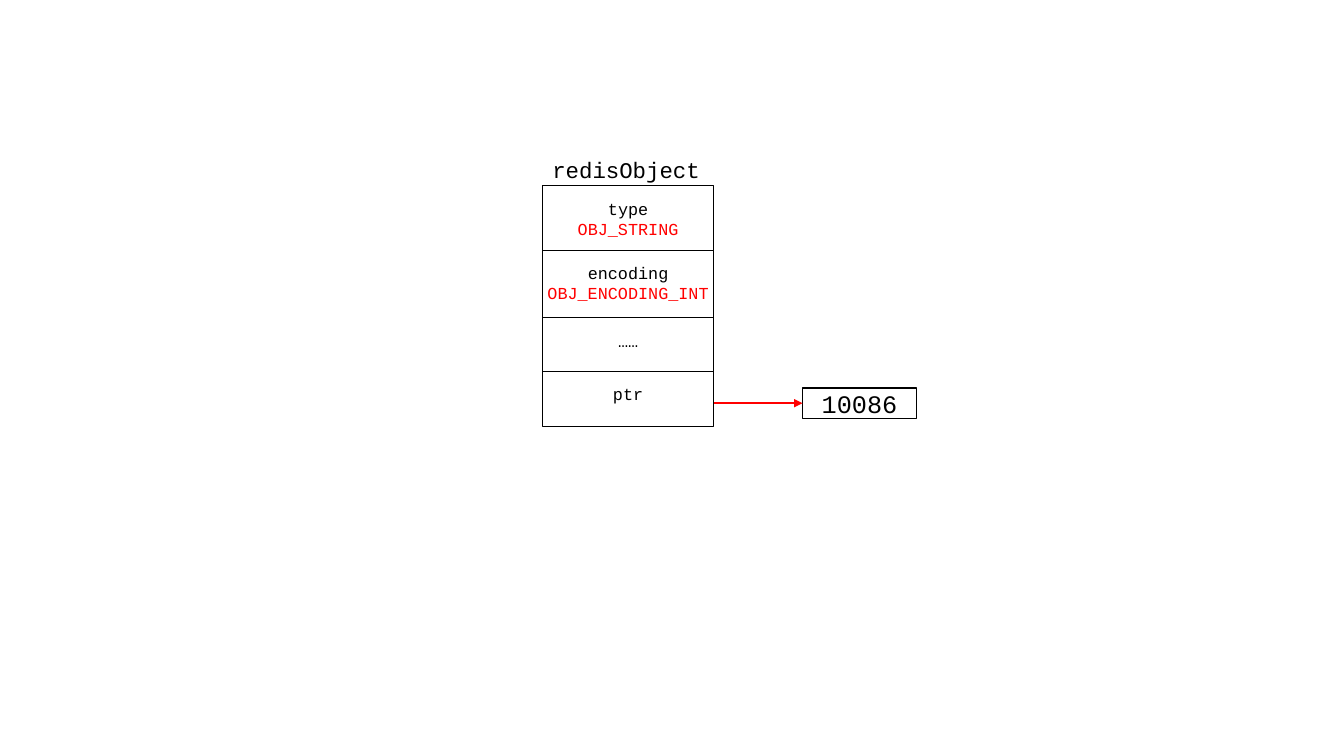
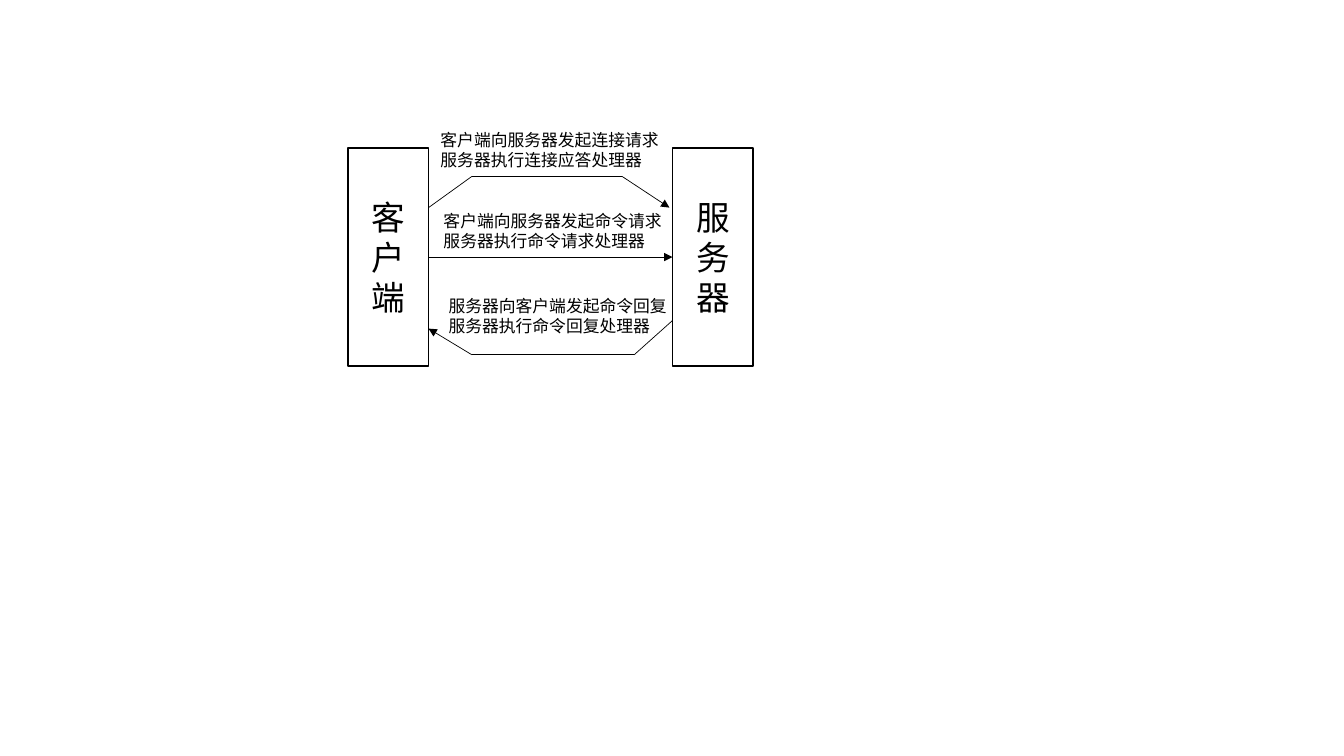
import pptx
import pptx.util
import pptx.dml.color
import pptx.enum.shapes
import pptx.enum.text
import pptx.oxml
import pptx.oxml.ns

COLORS = {"ink": "000000", "accent": "FF0000", "paper": "FFFFFF"}
CODE_FONT = "Courier New"
CHINESE_FONT = "Noto Sans CJK SC"

presentation = pptx.Presentation()
presentation.slide_width = pptx.util.Inches(13.33)
presentation.slide_height = pptx.util.Inches(7.5)

# Every length counts square grid units: the slide is 75 rows high
UNIT = presentation.slide_height / 75


def add_text(slide, lines, left, top, width, height, font=CODE_FONT, size=12,
             colors=("ink",), centered=True, outlined=False):
    """Add lines of text, one color each (the last one repeats), in a box or a rectangle."""
    area = [round(value * UNIT) for value in (left, top, width, height)]
    if outlined:
        shape = slide.shapes.add_shape(pptx.enum.shapes.MSO_SHAPE.RECTANGLE, *area)
        shape.shadow.inherit = False
        shape.fill.solid()
        shape.fill.fore_color.rgb = pptx.dml.color.RGBColor.from_string(COLORS["paper"])
        shape.line.color.rgb = pptx.dml.color.RGBColor.from_string(COLORS["ink"])
        shape.line.width = pptx.util.Pt(1)
        shape.text_frame.vertical_anchor = pptx.enum.text.MSO_ANCHOR.MIDDLE
    else:
        shape = slide.shapes.add_textbox(*area)
    shape.text_frame.word_wrap = True
    shape.text_frame.text = "\n".join(lines)
    alignment = pptx.enum.text.PP_ALIGN
    for index, paragraph in enumerate(shape.text_frame.paragraphs):
        paragraph.alignment = alignment.CENTER if centered else alignment.LEFT
        color = COLORS[colors[min(index, len(colors) - 1)]]
        for run in paragraph.runs:
            run.font.name = font
            run.font.size = pptx.util.Pt(size)
            run.font.color.rgb = pptx.dml.color.RGBColor.from_string(color)
            east_asian = pptx.oxml.parse_xml(
                f'<a:ea {pptx.oxml.ns.nsdecls("a")} typeface="{font}"/>')
            run.font._element.append(east_asian)
    return shape


def add_line(slide, start, end, color="ink", width=0.5, arrow=False,
             begin_shape=None, end_shape=None):
    """Draw a line; joined shapes are left on the right side and entered on the left."""
    connector = slide.shapes.add_connector(
        pptx.enum.shapes.MSO_CONNECTOR.STRAIGHT,
        *[round(value * UNIT) for value in (*start, *end)])
    if begin_shape is not None:
        connector.begin_connect(begin_shape, 3)
    if end_shape is not None:
        connector.end_connect(end_shape, 1)
    connector.line.color.rgb = pptx.dml.color.RGBColor.from_string(COLORS[color])
    connector.line.width = pptx.util.Pt(width)
    properties = connector._element.spPr
    namespace = pptx.oxml.ns.nsdecls("a")
    if arrow:
        properties.find(pptx.oxml.ns.qn("a:ln")).append(
            pptx.oxml.parse_xml(f'<a:tailEnd {namespace} type="triangle"/>'))
    properties.append(pptx.oxml.parse_xml(f"<a:effectLst {namespace}/>"))


blank_layout = presentation.slide_layouts[6]

# Slide 1: the object's fields, with the pointer to its value
slide = presentation.slides.add_slide(blank_layout)
object_left, object_width = 53.8, 17
object_right = object_left + object_width
row_edges = [18.4, 24.8, 31.5, 36.8, 42.3]
fields = [
    ["type", "OBJ_STRING"],
    ["encoding", "OBJ_ENCODING_INT"],
    ["……"],
    ["ptr"],
]
add_text(slide, [], object_left, row_edges[0], object_width,
         row_edges[-1] - row_edges[0], outlined=True)
add_text(slide, ["redisObject"], object_left, 15, 18.4, 3.7, size=16, centered=False)
for edge in row_edges[1:-1]:
    add_line(slide, (object_left, edge), (object_right, edge))
for lines, edge in zip(fields, row_edges):
    add_text(slide, lines, object_left - 0.7, edge + 0.8, object_width + 1.4,
             1 + 2 * len(lines), colors=("ink", "accent"))

value_box = add_text(slide, ["10086"], 79.6, 38.5, 11.3, 3, size=18, outlined=True)
add_line(slide, (object_right, 40), (79.6, 40), color="accent", width=1.5,
         arrow=True, end_shape=value_box)

# Slide 2: client and server
slide = presentation.slides.add_slide(blank_layout)
client_left, server_left, box_width = 34.5, 66.7, 8
client_right = client_left + box_width
client, server = [
    add_text(slide, list(name), left, 14.7, box_width, 21.6,
             font=CHINESE_FONT, size=24, outlined=True)
    for name, left in (("客户端", client_left), ("服务器", server_left))
]

# Messages between them
messages = [
    (["客户端向服务器发起连接请求", "服务器执行连接应答处理器"], 42.7, 12.4),
    (["客户端向服务器发起命令请求", "服务器执行命令请求处理器"], 43, 20.4),
    (["服务器向客户端发起命令回复", "服务器执行命令回复处理器"], 43.5, 28.8),
]
for lines, left, top in messages:
    add_text(slide, lines, left, top, 24.2, 5, font=CHINESE_FONT, centered=False)

# Straight command arrow, and bent routes above and below it
add_line(slide, (client_right, 25.5), (server_left, 25.5), arrow=True,
         begin_shape=client, end_shape=server)
routes = [
    [(client_right, 20.6), (46.8, 17.5), (61.7, 17.5), (66.4, 20.6)],
    [(server_left, 31.8), (62.9, 35.2), (46.8, 35.2), (client_right, 32.6)],
]
for route in routes:
    for start, end in zip(route, route[1:]):
        add_line(slide, start, end, arrow=end == route[-1])

presentation.save("out.pptx")
